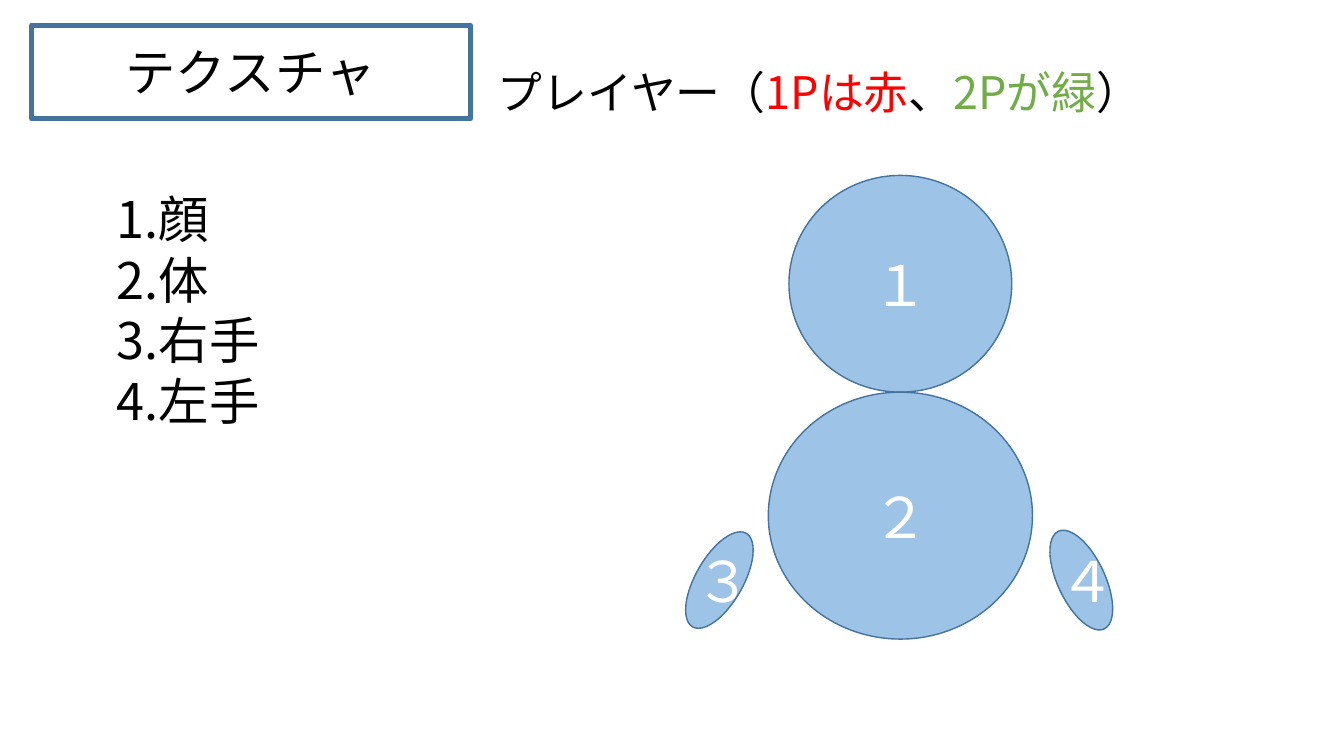
"""Build the texture slide: a title, a parts list and a numbered player figure."""
import pptx
import pptx.dml.color
import pptx.enum.shapes
import pptx.enum.text
import pptx.oxml
import pptx.oxml.ns
import pptx.util

Inches = pptx.util.Inches
FONT = "Noto Sans CJK JP"
COLORS = {
    "text": "000000",
    "white": "FFFFFF",
    "red": "FF0000",
    "green": "70AD47",
    "body": "9DC3E6",
    "outline": "43739E",
}


def rgb(name):
    """Return the named colour."""
    return pptx.dml.color.RGBColor.from_string(COLORS[name])


def format_run(run, size, color):
    """Set the font, size and colour of a run."""
    run.font.name = FONT
    run.font.size = pptx.util.Pt(size)
    run.font.color.rgb = rgb(color)
    east_asian = pptx.oxml.parse_xml(
        f'<a:ea {pptx.oxml.ns.nsdecls("a")} typeface="{FONT}"/>')
    run.font._element.find(pptx.oxml.ns.qn("a:latin")).addnext(east_asian)


def add_text(slide, box, paragraphs, size, centered=False):
    """Add a text box whose paragraphs are lists of (text, colour) runs."""
    text_frame = slide.shapes.add_textbox(*map(Inches, box)).text_frame
    text_frame.word_wrap = True
    text_frame.auto_size = pptx.enum.text.MSO_AUTO_SIZE.SHAPE_TO_FIT_TEXT
    for index, runs in enumerate(paragraphs):
        paragraph = text_frame.add_paragraph() if index else text_frame.paragraphs[0]
        if centered:
            paragraph.alignment = pptx.enum.text.PP_ALIGN.CENTER
        for text, color in runs:
            run = paragraph.add_run()
            run.text = text
            format_run(run, size, color)
    return text_frame


def add_outlined(slide, kind, box, line_width, fill=None):
    """Add an outlined preset shape, filled when a colour is named."""
    shape = slide.shapes.add_shape(kind, *map(Inches, box))
    shape.shadow.inherit = False
    if fill:
        shape.fill.solid()
        shape.fill.fore_color.rgb = rgb(fill)
    else:
        shape.fill.background()
    shape.line.color.rgb = rgb("outline")
    shape.line.width = pptx.util.Pt(line_width)
    return shape


def add_title(slide, left, top, width, height):
    """Add the framed slide title."""
    add_outlined(slide, pptx.enum.shapes.MSO_SHAPE.RECTANGLE,
                 (left, top, width, height), 3.5)
    add_text(slide, (left + 0.06, top + 0.11, width - 0.13, height - 0.22),
             [[("テクスチャ", "text")]], 36, centered=True)


def add_parts_list(slide, left, top, width, height):
    """Add the automatically numbered list of body parts."""
    parts = ["顔", "体", "右手", "左手"]
    text_frame = add_text(slide, (left, top, width, height),
                          [[(part, "text")] for part in parts], 36)
    indent = Inches(0.38)
    for paragraph in text_frame.paragraphs:
        properties = paragraph._p.get_or_add_pPr()
        properties.set("marL", str(indent))
        properties.set("indent", str(-indent))
        properties.append(pptx.oxml.parse_xml(
            f'<a:buAutoNum {pptx.oxml.ns.nsdecls("a")} type="arabicPeriod"/>'))


def add_heading(slide, left, top, width, height):
    """Add the player heading with its two player colours."""
    runs = [("プレイヤー（", "text"), ("1Pは赤", "red"), ("、", "text"),
            ("2Pが緑", "green"), ("）", "text")]
    add_text(slide, (left, top, width, height), [runs], 32, centered=True)


def add_player(slide, left, top, width, height):
    """Add the player figure: head, body and two tilted hands."""
    oval = pptx.enum.shapes.MSO_SHAPE.OVAL
    center = left + width / 2
    head_height = 2.15
    rounds = [("１", 2.21, top, head_height),
              ("２", 2.62, top + head_height, height - head_height)]
    for label, part_width, part_top, part_height in rounds:
        box = (center - part_width / 2, part_top, part_width, part_height)
        shape = add_outlined(slide, oval, box, 1, "body")
        shape.text_frame.text = label
        shape.text_frame.vertical_anchor = pptx.enum.text.MSO_ANCHOR.MIDDLE
        paragraph = shape.text_frame.paragraphs[0]
        paragraph.alignment = pptx.enum.text.PP_ALIGN.CENTER
        format_run(paragraph.runs[0], 40, "white")

    hand_width, hand_top = 1.07, top + 3.78
    hands = [("３", left, 299.8, 0.2),
             ("４", left + width - hand_width, 244.9, 0.22)]
    for label, hand_left, rotation, label_offset in hands:
        hand = add_outlined(slide, oval, (hand_left, hand_top, hand_width, 0.47),
                            1, "body")
        hand.rotation = rotation
        add_text(slide, (hand_left + label_offset, hand_top - 0.15, 0.47, 0.77),
                 [[(label, "white")]], 40)


def main():
    """Build and save the presentation."""
    presentation = pptx.Presentation()
    presentation.slide_width = Inches(13.33)
    presentation.slide_height = Inches(7.5)
    slide = presentation.slides.add_slide(presentation.slide_layouts[6])
    add_title(slide, 0.31, 0.25, 4.36, 0.93)
    add_heading(slide, 4.67, 0.59, 6.92, 0.64)
    add_parts_list(slide, 1.06, 1.82, 3.12, 2.52)
    add_player(slide, 6.6, 1.74, 4.66, 4.6)
    presentation.save("out.pptx")


if __name__ == "__main__":
    main()
